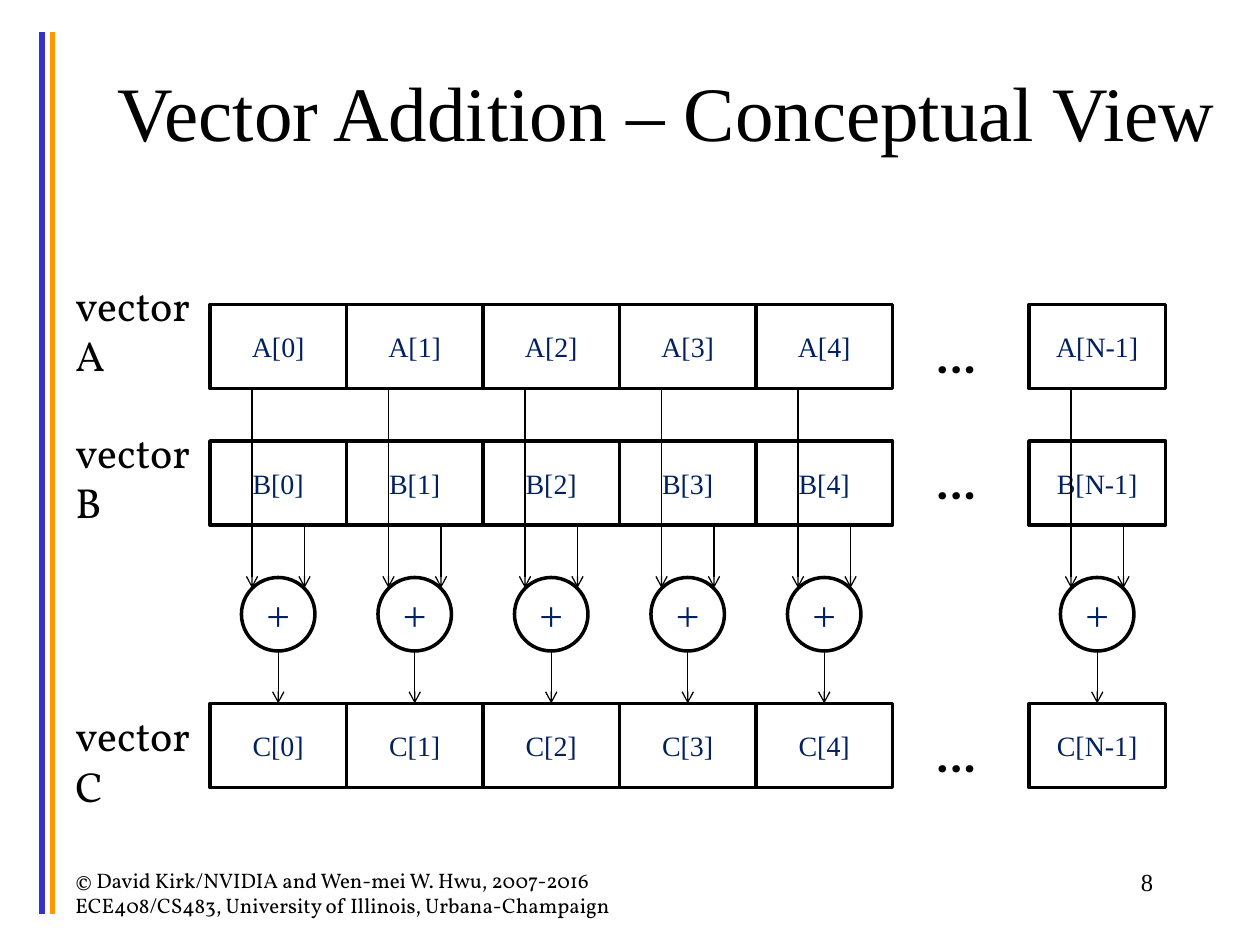
"""Build the slide on adding two vectors element by element."""
from lxml import etree
from pptx import Presentation
from pptx import util as u
from pptx.dml.color import RGBColor
from pptx.enum import shapes, text
from pptx.oxml.ns import qn

HUES = {"ink": "000000", "navy": "002060", "paper": "FFFFFF",
        "blue": "3333CC", "gold": "FF9900"}
SERIF, BODY = "Times New Roman", "Vollkorn"
UNIT = u.Inches(10) / 120
WIDE, HIGH = 13, 8
LEFT = 20
ROWS = {"A": 29, "B": 42, "C": 67}
LABELS = {"A": 26, "B": 40, "C": 67}
DOTS = {"A": 31, "B": 43, "C": 69}
COLS = {0: "0", 1: "1", 2: "2", 3: "3", 4: "4", 6: "N-1"}
DISC, DISCTOP = 7, 55

deck = Presentation()
deck.slide_width, deck.slide_height = u.Inches(10), u.Inches(7.5)
slide = deck.slides.add_slide(deck.slide_layouts[5])
items = slide.shapes


def write(shape, words, size, face, hue="ink", align="LEFT", bold=False):
    para = shape.text_frame.paragraphs[0]
    para.alignment = getattr(text.PP_ALIGN, align)
    run = para.add_run()
    run.text = words
    run.font.size, run.font.name, run.font.bold = u.Pt(size), face, bold
    run.font.color.rgb = RGBColor.from_string(HUES[hue])


def draw(x1, y1, x2, y2, hue="ink", width=0.75, head=True):
    ends = [round(n * UNIT) for n in (x1, y1, x2, y2)]
    line = items.add_connector(shapes.MSO_CONNECTOR.STRAIGHT, *ends)
    line.line.color.rgb = RGBColor.from_string(HUES[hue])
    line.line.width = u.Pt(width)
    if head:
        etree.SubElement(line.line._get_or_add_ln(), qn("a:tailEnd"), type="arrow")
    etree.SubElement(line._element.spPr, qn("a:effectLst"))


for x, hue in ((4, "blue"), (5, "gold")):
    draw(x, 3, x, 87, hue, 3, False)

title = items.title
title.left, title.top, title.width, title.height = (
    round(n * UNIT) for n in (9, 3, 109, 15))
title.text_frame.vertical_anchor = text.MSO_ANCHOR.MIDDLE
write(title, "Vector Addition – Conceptual View", 44, SERIF, align="CENTER")

RECT, OVAL = shapes.MSO_SHAPE.RECTANGLE, shapes.MSO_SHAPE.OVAL
nodes = [(RECT, LEFT + col * WIDE, top, WIDE, HIGH, f"{name}[{index}]", 16)
         for name, top in ROWS.items() for col, index in COLS.items()]
nodes += [(OVAL, LEFT + col * WIDE + (WIDE - DISC) / 2, DISCTOP, DISC, DISC, "+", 24)
          for col in COLS]
for kind, x, y, w, h, words, size in nodes:
    node = items.add_shape(kind, *(round(n * UNIT) for n in (x, y, w, h)))
    node.shadow.inherit = False
    node.fill.solid()
    node.fill.fore_color.rgb = RGBColor.from_string(HUES["paper"])
    node.line.color.rgb = RGBColor.from_string(HUES["ink"])
    node.line.width = u.Pt(2)
    node.text_frame.vertical_anchor = text.MSO_ANCHOR.MIDDLE
    write(node, words, size, SERIF, "navy", "CENTER")

for col in COLS:
    x = LEFT + col * WIDE
    draw(x + 4, ROWS["A"] + HIGH, x + 4, DISCTOP + 1)
    draw(x + 9, ROWS["B"] + HIGH, x + 9, DISCTOP + 1)
    draw(x + WIDE / 2, DISCTOP + DISC, x + WIDE / 2, ROWS["C"])

notes = [(6, top, 16, 4.8, f"vector {name}", 24, BODY, "LEFT", False)
         for name, top in LABELS.items()]
notes += [(88, top, 5.4, 4.8, "…", 24, BODY, "LEFT", True) for top in DOTS.values()]
notes += [
    (86, 82, 25, 6, "8", 14, SERIF, "RIGHT", False),
    (6, 82, 55, 6, "© David Kirk/NVIDIA and Wen-mei W. Hwu, 2007-2016 "
     "ECE408/CS483, University of Illinois, Urbana-Champaign", 12, BODY, "LEFT", False),
]
for x, y, w, h, words, size, face, align, bold in notes:
    box = items.add_textbox(*(round(n * UNIT) for n in (x, y, w, h)))
    box.text_frame.word_wrap = words != "…"
    write(box, words, size, face, align=align, bold=bold)

deck.save("out.pptx")
